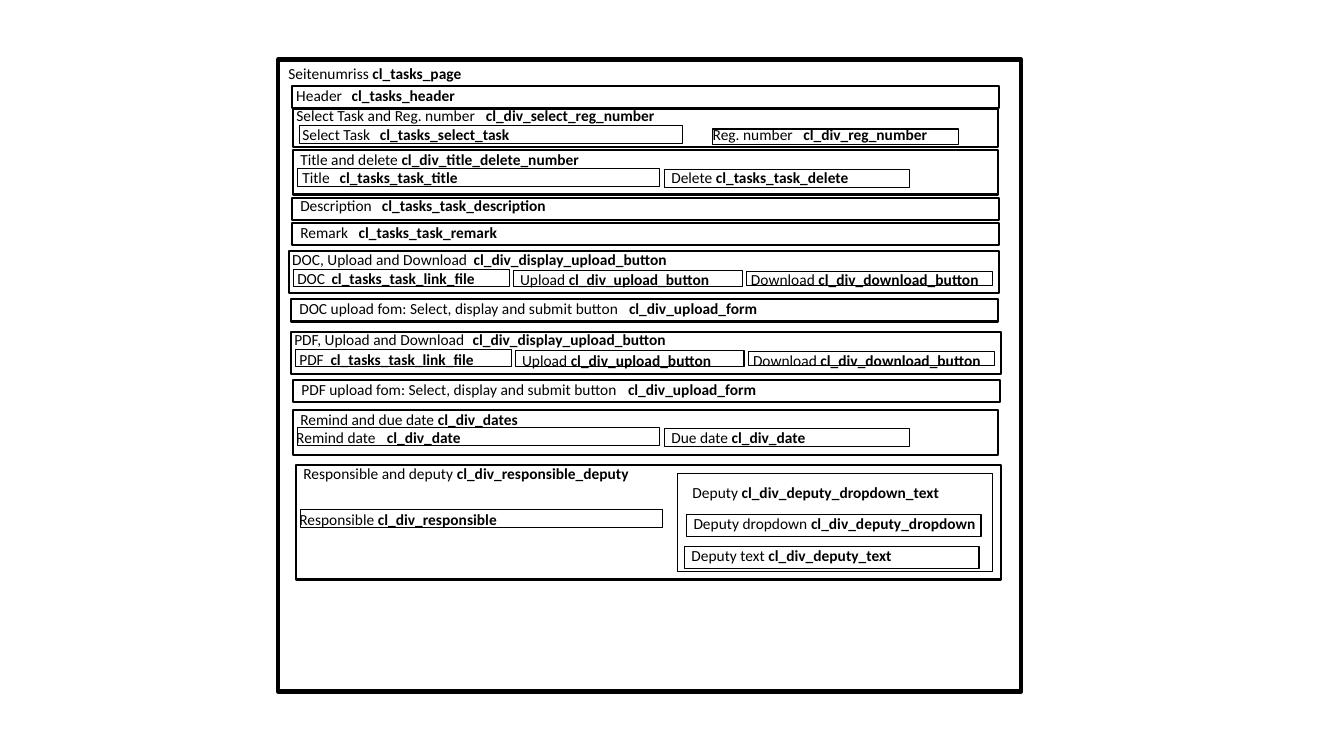
from dataclasses import dataclass

from lxml import etree
from pptx import Presentation
from pptx import util as u
from pptx.dml import color
from pptx.enum import shapes, text
from pptx.oxml import ns


@dataclass(frozen=True)
class Theme:
    """Colours, type and line weights of the wireframe."""
    ink: color.RGBColor = color.RGBColor(0, 0, 0)
    font: str = "Calibri"
    size: float = 11
    page: float = 3
    section: float = 1.5
    field: float = 0.75


THEME = Theme()
LABEL_HEIGHT = 0.29
GROUP_STEP = (0.02, 0.8)

SECTIONS = [
    ((2.9, 0.85, 7.01, 0.22), (2.84, 0.81, 2), "Header", "cl_tasks_header", 0.55),
    ((2.91, 1.08, 6.99, 0.38), (2.84, 1, 4.22), "Select Task and Reg. number", "cl_div_select_reg_number", 1.88),
    ((2.91, 1.49, 6.99, 0.44), (2.88, 1.44, 3.17), "Title and delete", "cl_div_title_delete_number", 0),
    ((2.9, 1.96, 7.01, 0.22), (2.88, 1.9, 3.17), "Description", "cl_tasks_task_description", 0.81),
    ((2.9, 2.21, 7.01, 0.22), (2.88, 2.16, 3.17), "Remark", "cl_tasks_task_remark", 0.58),
    ((2.91, 4.07, 6.99, 0.44), (2.88, 4.02, 3.17), "Remind and due date", "cl_div_dates", 0),
    ((2.94, 4.61, 6.99, 1.14), (2.91, 4.56, 4.66), "Responsible and deputy", "cl_div_responsible_deputy", 0),
]

FIELDS = [
    ((2.97, 1.25, 3.8, 0.17), (2.9, 1.19, 2.77), "Select Task", "cl_tasks_select_task", 0.77),
    ((7.07, 1.28, 2.44, 0.15), (6.97, 1.19, 2.89), "Reg. number", "cl_div_reg_number", 0.9),
    ((2.95, 1.67, 3.59, 0.18), (2.9, 1.62, 2), "Title", "cl_tasks_task_title", 0.37),
    ((6.59, 1.68, 2.43, 0.18), (6.56, 1.62, 2.77), "Delete", "cl_tasks_task_delete", 0),
    ((2.95, 4.24, 3.59, 0.18), (2.84, 4.2, 2), "Remind date", "cl_div_date", 0.9),
    ((6.59, 4.25, 2.43, 0.18), (6.56, 4.2, 2.77), "Due date", "cl_div_date", 0),
    ((2.98, 5.05, 3.59, 0.18), (2.87, 5.01, 2.77), "Responsible", "cl_div_responsible", 0),
    ((6.72, 4.7, 3.12, 0.97), (6.77, 4.74, 3), "Deputy", "cl_div_deputy_dropdown_text", 0),
    ((6.81, 5.1, 2.92, 0.22), (6.78, 5.05, 3.05), "Deputy dropdown", "cl_div_deputy_dropdown", 0),
    ((6.79, 5.42, 2.92, 0.22), (6.76, 5.37, 3), "Deputy text", "cl_div_deputy_text", 0),
]


def set_attrs(obj, values):
    """Set each named attribute of an object."""
    for name, value in values.items():
        setattr(obj, name, value)


def add_frame(s, at, weight):
    """Draw an unfilled rectangle."""
    sp = s.shapes.add_shape(shapes.MSO_SHAPE.RECTANGLE, *map(u.Inches, at))
    sp.shadow.inherit = False
    sp.fill.background()
    sp.line.color.rgb = THEME.ink
    sp.line.width = u.Pt(weight)


def write_label(sp, plain, bold, tab=0):
    """Write a caption and its bold class name, parted by a space or a tab."""
    tf = sp.text_frame
    set_attrs(tf, {"word_wrap": True, "vertical_anchor": text.MSO_ANCHOR.TOP,
                   "auto_size": text.MSO_AUTO_SIZE.SHAPE_TO_FIT_TEXT})
    p = tf.paragraphs[0]
    p.alignment = text.PP_ALIGN.LEFT
    if tab:
        stops = etree.SubElement(p._p.get_or_add_pPr(), ns.qn("a:tabLst"))
        etree.SubElement(stops, ns.qn("a:tab"), pos=str(u.Inches(tab)), algn="l")
    for words, is_bold in ((plain + ("\t" if tab else " "), False), (bold, True)):
        r = p.add_run()
        r.text = words
        set_attrs(r.font, {"name": THEME.font, "size": u.Pt(THEME.size), "bold": is_bold})
        r.font.color.rgb = THEME.ink


def add_panel(s, weight, frame, label, plain, bold, tab):
    """Add a frame with its label."""
    add_frame(s, frame, weight)
    sp = s.shapes.add_textbox(*map(u.Inches, (*label, LABEL_HEIGHT)))
    write_label(sp, plain, bold, tab)


def add_file_group(s, kind, dx, dy, shift):
    """Add the upload and download sections of one file kind."""
    panels = [
        (THEME.section, (2.87, 2.49, 7.04, 0.42), (2.8, 2.43, 3.98),
         f"{kind}, Upload and Download", "cl_div_display_upload_button", 1.8),
        (THEME.field, (2.91, 2.67, 2.14, 0.17), (2.85, 2.62, 2.32), kind, "cl_tasks_task_link_file", 0.34),
        (THEME.field, (5.09, 2.68, 2.27, 0.16), (5.06, 2.63, 2.44), "Upload", "cl_div_upload_button", 0),
        (THEME.field, (7.4, 2.69, 2.44, 0.14), (7.35, 2.63, 2.65), "Download", "cl_div_download_button", 0),
        (THEME.section, (2.89, 2.97, 7.01, 0.22), (2.87, 2.92, 5.08),
         f"{kind} upload fom: Select, display and submit button", "cl_div_upload_form", 3.27),
    ]
    for weight, (x, y, w, h), (lx, ly, lw), plain, bold, tab in panels:
        add_panel(s, weight, (x + dx, y + dy, w, h), (lx + dx, ly + dy, lw),
                  plain, bold, tab and tab - shift)


def main():
    """Build the page outline."""
    prs = Presentation()
    set_attrs(prs, {"slide_width": u.Inches(13.33), "slide_height": u.Inches(7.5)})
    s = prs.slides.add_slide(prs.slide_layouts[5])
    title = s.shapes.title
    set_attrs(title, {"left": u.Inches(2.76), "top": u.Inches(0.59),
                      "width": u.Inches(4.74), "height": u.Inches(LABEL_HEIGHT)})
    write_label(title, "Seitenumriss", "cl_tasks_page")
    add_frame(s, (2.76, 0.59, 7.37, 6.27), THEME.page)
    for section in SECTIONS:
        add_panel(s, THEME.section, *section)
    for field in FIELDS:
        add_panel(s, THEME.field, *field)
    add_file_group(s, "DOC", 0, 0, 0)
    add_file_group(s, "PDF", *GROUP_STEP, 0.03)
    prs.save("out.pptx")


if __name__ == "__main__":
    main()
